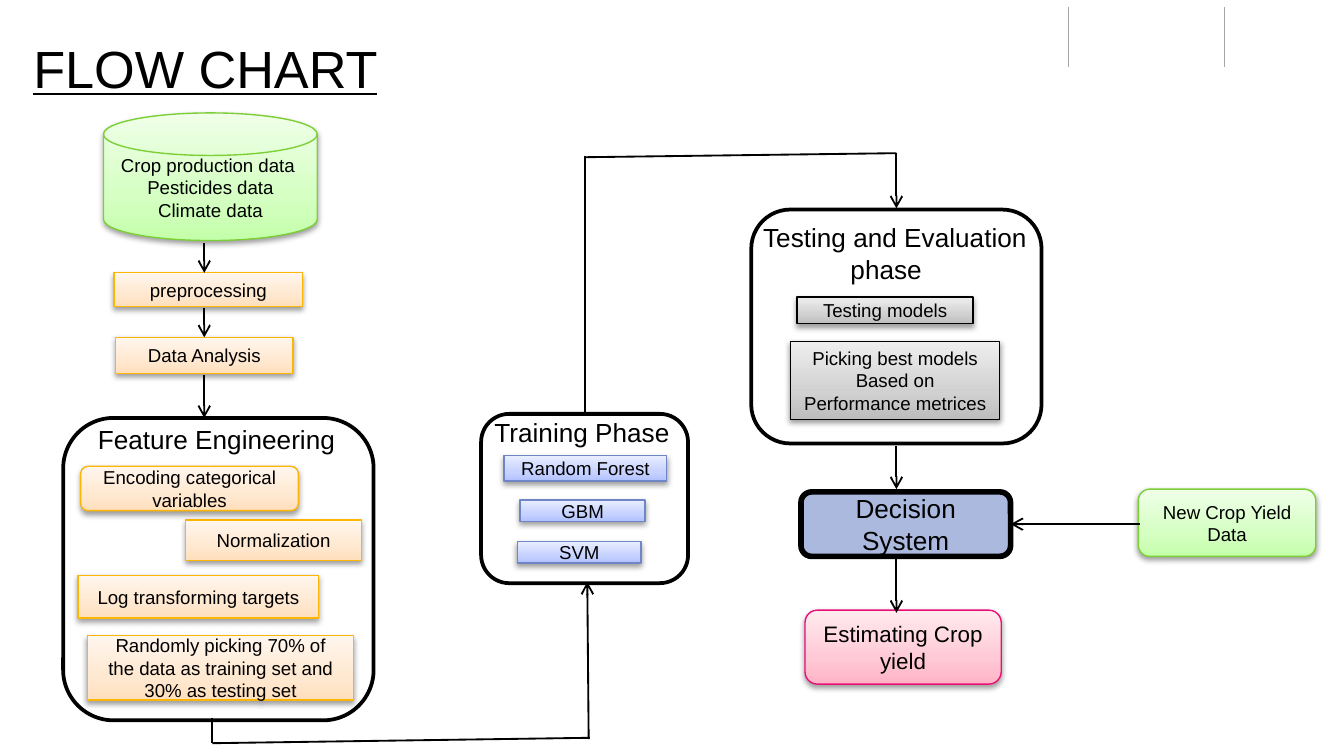
from dataclasses import dataclass

from pptx import Presentation
from pptx.dml.color import RGBColor
from pptx.enum.shapes import MSO_CONNECTOR, MSO_SHAPE as Shape
from pptx.enum.text import MSO_ANCHOR, MSO_AUTO_SIZE, PP_ALIGN
from pptx.oxml import parse_xml
from pptx.oxml.ns import nsdecls, qn
from pptx.util import Inches, Pt


@dataclass(frozen=True)
class Theme:
    font: str = "Arial"
    ink: str = "000000"
    paper: str = "FFFFFF"
    rule: str = "A6A6A6"
    decision: str = "ABB9DE"
    green: tuple = ("7CD036", "C4FFAA", "D5FFC3", "EFFFE8")
    orange: tuple = ("FEB604", "FFDFBC", "FFE8D0", "FFF6ED")
    pink: tuple = ("EA0F77", "FFB3C6", "FFC9D6", "FFEBEF")
    blue: tuple = ("6E86C6", "B0C1FF", "C6D2FF", "E9EEFF")
    gray: tuple = ("000000", "BDBDBD", "D1D1D1", "EEEEEE")
    title: int = 28
    heading: int = 14
    result: int = 12
    label: int = 10


T = Theme()


def rgb(color):
    return RGBColor.from_string(color)


def write(tf, lines, size, align=PP_ALIGN.LEFT):
    for i, line in enumerate(lines):
        p = tf.paragraphs[0] if i == 0 else tf.add_paragraph()
        p.text = line
        p.alignment = align
        p.font.name = T.font
        p.font.size = Pt(size)
        p.font.color.rgb = rgb(T.ink)


def add_text(s, box, lines, size, wrap=True):
    tf = s.shapes.add_textbox(*map(Inches, box)).text_frame
    tf.word_wrap = wrap
    tf.auto_size = MSO_AUTO_SIZE.SHAPE_TO_FIT_TEXT
    write(tf, lines, size)
    return tf


def add_box(s, kind, box, line, width, lines=(), size=T.label):
    sp = s.shapes.add_shape(kind, *map(Inches, box))
    sp.shadow.inherit = False
    sp.line.color.rgb = rgb(line)
    sp.line.width = Pt(width)
    tf = sp.text_frame
    tf.word_wrap = True
    tf.vertical_anchor = MSO_ANCHOR.MIDDLE
    write(tf, lines, size, PP_ALIGN.CENTER)
    return sp


def add_solid_box(s, box, fill, width, lines=()):
    sp = add_box(s, Shape.ROUNDED_RECTANGLE, box, T.ink, width, lines, T.heading)
    sp.fill.solid()
    sp.fill.fore_color.rgb = rgb(fill)


def add_step(s, kind, box, palette, lines, size=T.label):
    line, *colors = palette
    sp = add_box(s, kind, box, line, 0.75, lines, size)
    stops = "".join(
        f'<a:gs pos="{pos}000"><a:srgbClr val="{color}"/></a:gs>'
        for pos, color in zip((0, 35, 100), colors))
    spPr = sp._element.spPr
    spPr.find(qn("a:prstGeom")).addnext(parse_xml(
        f'<a:gradFill {nsdecls("a")} rotWithShape="1"><a:gsLst>{stops}</a:gsLst>'
        '<a:lin ang="16200000" scaled="0"/></a:gradFill>'))
    spPr.find(qn("a:effectLst")).append(parse_xml(
        f'<a:outerShdw {nsdecls("a")} blurRad="{Pt(3.1)}" dist="{Pt(1.6)}" '
        'dir="5400000" rotWithShape="0"><a:srgbClr val="000000">'
        '<a:alpha val="38000"/></a:srgbClr></a:outerShdw>'))


def add_line(s, points, color=T.ink, width=1, arrow=False):
    c = s.shapes.add_connector(MSO_CONNECTOR.STRAIGHT, *map(Inches, points))
    c.line.color.rgb = rgb(color)
    c.line.width = Pt(width)
    if arrow:
        c.line._get_or_add_ln().append(
            parse_xml(f'<a:tailEnd {nsdecls("a")} type="arrow"/>'))
    c._element.spPr.append(parse_xml(f'<a:effectLst {nsdecls("a")}/>'))


def add_header(s):
    for x in (7.95, 9.11):
        add_line(s, (x, 0.05, x, 0.5), T.rule, 0.75)
    tf = add_text(s, (0.15, 0.22, 3.47, 0.57), ["FLOW CHART"], T.title)
    tf.paragraphs[0].font.underline = True


def add_phases(s):
    for box in ((0.47, 3.11, 2.31, 2.25), (3.58, 3.08, 1.54, 1.26),
                (5.59, 1.56, 2.16, 1.74)):
        add_solid_box(s, box, T.paper, 2)
    add_text(s, (0.63, 3.1, 1.97, 0.34), ["Feature Engineering"], T.heading, False)
    add_text(s, (3.58, 3.05, 1.52, 0.34), ["Training Phase"], T.heading, False)
    tf = add_text(s, (5.58, 1.6, 2.26, 0.57),
                  ["Testing and Evaluation", "phase"], T.heading)
    tf.paragraphs[1]._p.get_or_add_pPr().set("marL", str(Inches(0.65)))


def add_steps(s):
    for box, palette, lines in (
        ((0.85, 2.03, 1.4, 0.25), T.orange, ["preprocessing"]),
        ((0.86, 2.51, 1.32, 0.27), T.orange, ["Data Analysis"]),
        ((1.38, 3.87, 1.31, 0.3), T.orange, ["Normalization"]),
        ((0.58, 4.28, 1.79, 0.32), T.orange, ["Log transforming targets"]),
        ((0.65, 4.73, 1.98, 0.48), T.orange,
         ["Randomly picking 70% of the data as training set and 30% as testing set"]),
        ((3.75, 3.39, 1.21, 0.19), T.blue, ["Random Forest"]),
        ((3.87, 3.72, 0.93, 0.16), T.blue, ["GBM"]),
        ((3.85, 4.03, 0.92, 0.16), T.blue, ["SVM"]),
        ((5.93, 2.21, 1.31, 0.2), T.gray, ["Testing models"]),
        ((5.88, 2.54, 1.56, 0.58), T.gray,
         ["Picking best models", "Based on", "Performance metrices"]),
    ):
        add_step(s, Shape.RECTANGLE, box, palette, lines)

    add_step(s, Shape.FLOWCHART_MAGNETIC_DISK, (0.77, 0.84, 1.59, 0.95), T.green,
             ["Crop production data ", "Pesticides data", "Climate data"])
    rounded = Shape.ROUNDED_RECTANGLE
    add_step(s, rounded, (0.6, 3.47, 1.62, 0.33), T.orange,
             ["Encoding categorical variables"])
    add_step(s, rounded, (8.47, 3.64, 1.32, 0.5), T.green,
             ["New Crop Yield", "Data"])
    add_step(s, rounded, (5.99, 4.54, 1.46, 0.55), T.pink,
             ["Estimating Crop", "yield"], T.result)
    add_solid_box(s, (5.96, 3.66, 1.56, 0.48), T.decision, 3, ["Decision System"])


def add_flow(s):
    for points in ((1.58, 5.34, 1.58, 5.53), (1.58, 5.53, 4.39, 5.49),
                   (4.35, 3.09, 4.35, 1.16), (4.36, 1.17, 6.67, 1.14)):
        add_line(s, points)
    for points in ((1.52, 1.81, 1.52, 2.03), (1.52, 2.29, 1.52, 2.51),
                   (1.52, 2.79, 1.52, 3.11), (4.38, 5.5, 4.37, 4.33),
                   (6.67, 1.14, 6.67, 1.55), (6.67, 3.32, 6.67, 3.64),
                   (6.67, 4.15, 6.67, 4.56), (8.48, 3.9, 7.52, 3.9)):
        add_line(s, points, arrow=True)


def main():
    prs = Presentation()
    prs.slide_width = Inches(10)
    prs.slide_height = prs.slide_width * 9 // 16
    s = prs.slides.add_slide(prs.slide_layouts[6])
    add_header(s)
    add_phases(s)
    add_steps(s)
    add_flow(s)
    prs.save("out.pptx")


if __name__ == "__main__":
    main()
